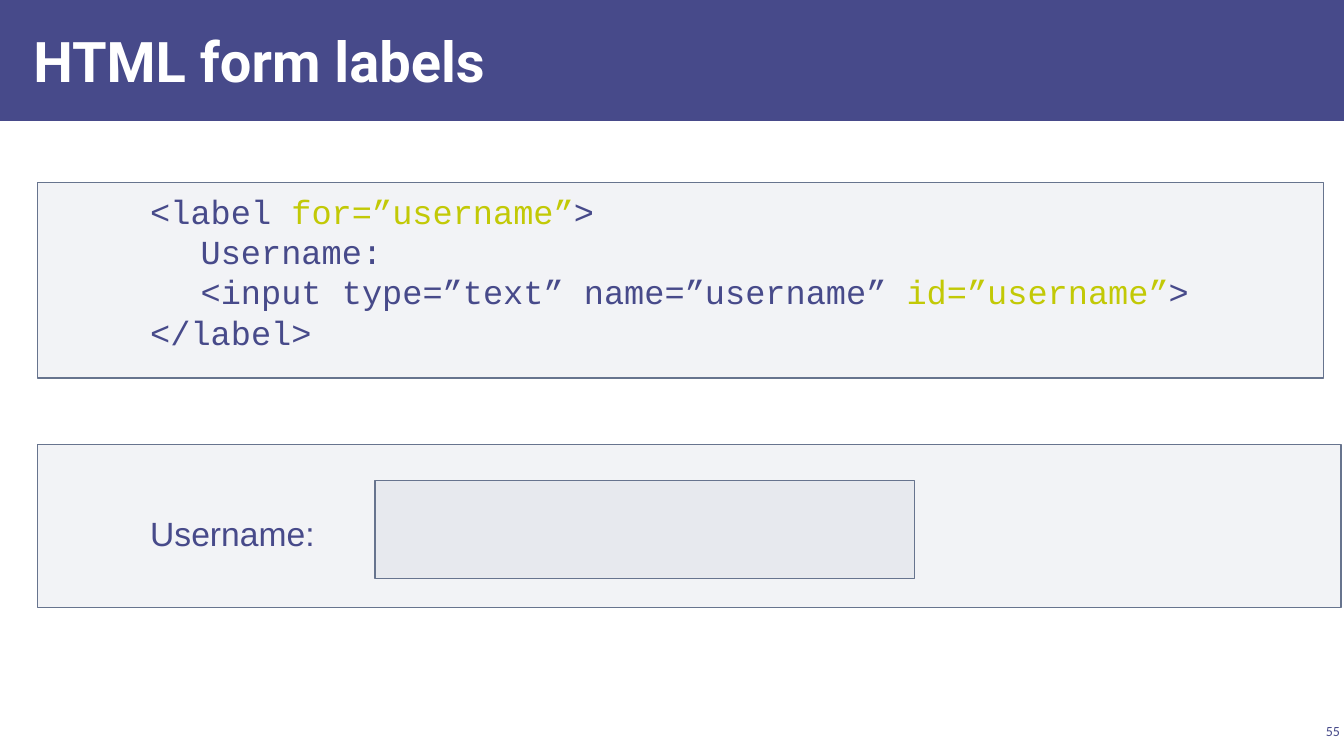
import pptx
import pptx.util
import pptx.dml.color
import pptx.enum.shapes
import pptx.enum.text
import pptx.oxml.ns
from lxml import etree

HEX = {"main": "474A8A", "mark": "C2C906", "pale": "ACB4C3",
       "edge": "67748E", "white": "FFFFFF"}
TITLE = "HTML form labels"
PAGE = "55"
# Each code line: indent level, then (text, colour) runs
CODE = [
    (0, [("<label ", "main"), ("for=”username”", "mark"), (">", "main")]),
    (1, [("Username:", "main")]),
    (1, [("<input type=”text” name=”username” ", "main"),
         ("id=”username”", "mark"), (">", "main")]),
    (0, [("</label>", "main")]),
]
FIELD = [(0, [("Username:", "main")])]
LEFT, STEP = 1.0, 0.5
PAD = (0.12, 0.08, 0.12, 0.08)

Inches = pptx.util.Inches
ALIGN = pptx.enum.text.PP_ALIGN
ANCHOR = pptx.enum.text.MSO_ANCHOR


def color(name):
    return pptx.dml.color.RGBColor.from_string(HEX[name])


def write(shape, lines, font, size, bold=False, left=0, pad=PAD,
          align=ALIGN.LEFT, anchor=ANCHOR.TOP):
    frame = shape.text_frame
    frame.word_wrap = True
    frame.auto_size = pptx.enum.text.MSO_AUTO_SIZE.NONE
    frame.vertical_anchor = anchor
    (frame.margin_left, frame.margin_top,
     frame.margin_right, frame.margin_bottom) = map(Inches, pad)
    for i, (level, runs) in enumerate(lines):
        para = frame.add_paragraph() if i else frame.paragraphs[0]
        para.alignment = align
        para.line_spacing = 1.0
        para.space_before = pptx.util.Pt(0)
        props = para._p.get_or_add_pPr()
        props.set("marL", str(Inches(left + level * STEP)))
        props.set("indent", "0")
        for text, ink in runs:
            run = para.add_run()
            run.text = text
            run.font.name = font
            run.font.size = pptx.util.Pt(size)
            run.font.bold = bold
            run.font.color.rgb = color(ink)


def rect(box, fill, line=None, alpha=None):
    shape = slide.shapes.add_shape(
        pptx.enum.shapes.MSO_SHAPE.RECTANGLE, *map(Inches, box))
    shape.shadow.inherit = False
    shape.fill.solid()
    shape.fill.fore_color.rgb = color(fill)
    if alpha:
        tint = shape.element.spPr.find(".//" + pptx.oxml.ns.qn("a:srgbClr"))
        etree.SubElement(tint, pptx.oxml.ns.qn("a:alpha"),
                         val=str(alpha * 1000))
    if line:
        shape.line.color.rgb = color(line)
        shape.line.width = pptx.util.Pt(1)
    else:
        shape.line.fill.background()
    return shape


deck = pptx.Presentation()
deck.slide_width, deck.slide_height = Inches(13.33), Inches(7.5)
slide = deck.slides.add_slide(deck.slide_layouts[5])

# Title on its bar
title = slide.shapes.title
title.left, title.top, title.width, title.height = map(
    Inches, (0.21, 0.11, 10.4, 0.97))
write(title, [(0, [(TITLE, "white")])], "Roboto", 40, bold=True,
      pad=(0.12, 0.04, 0.12, 0.04), anchor=ANCHOR.MIDDLE)
bar = rect((0, 0, 13.33, 1.2), "main")
title.element.addprevious(bar.element)

# Page number
page = slide.shapes.add_textbox(*map(Inches, (12.86, 7.14, 0.47, 0.22)))
write(page, [(0, [(PAGE, "main")])], "Calibri", 10, pad=(0.04,) * 4,
      align=ALIGN.RIGHT, anchor=ANCHOR.MIDDLE)

# Code panel, form panel and input box
panel = {"fill": "pale", "line": "edge", "alpha": 15}
code = rect((0.37, 1.81, 12.76, 1.94), **panel)
write(code, CODE, "Courier New", 24, left=LEFT)
form = rect((0.37, 4.41, 12.93, 1.62), **panel)
write(form, FIELD, "Arial", 24, left=LEFT, pad=(0.12, 0.68, 0.12, 0.08))
rect((3.72, 4.77, 5.35, 0.97), **panel)

deck.save("out.pptx")
